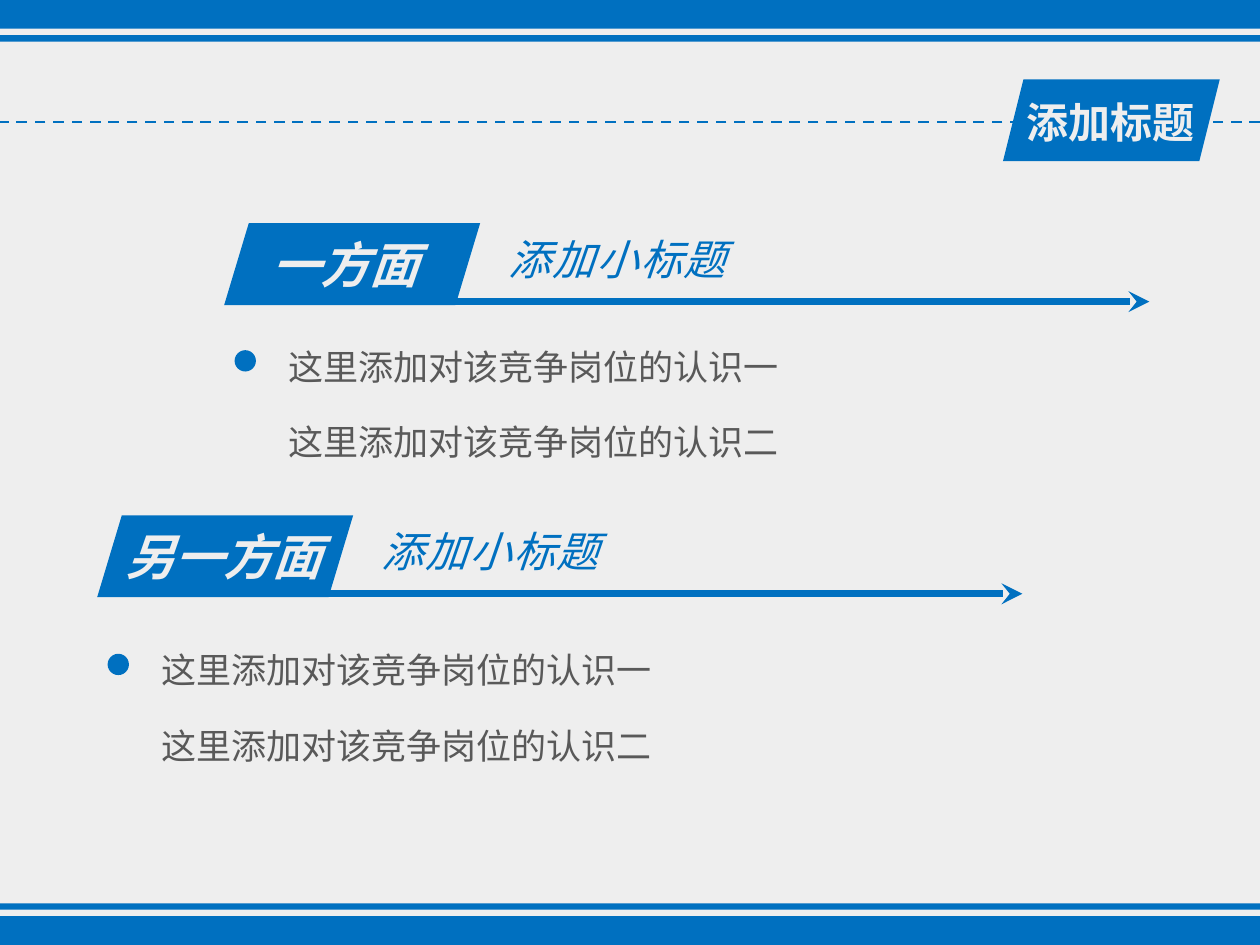
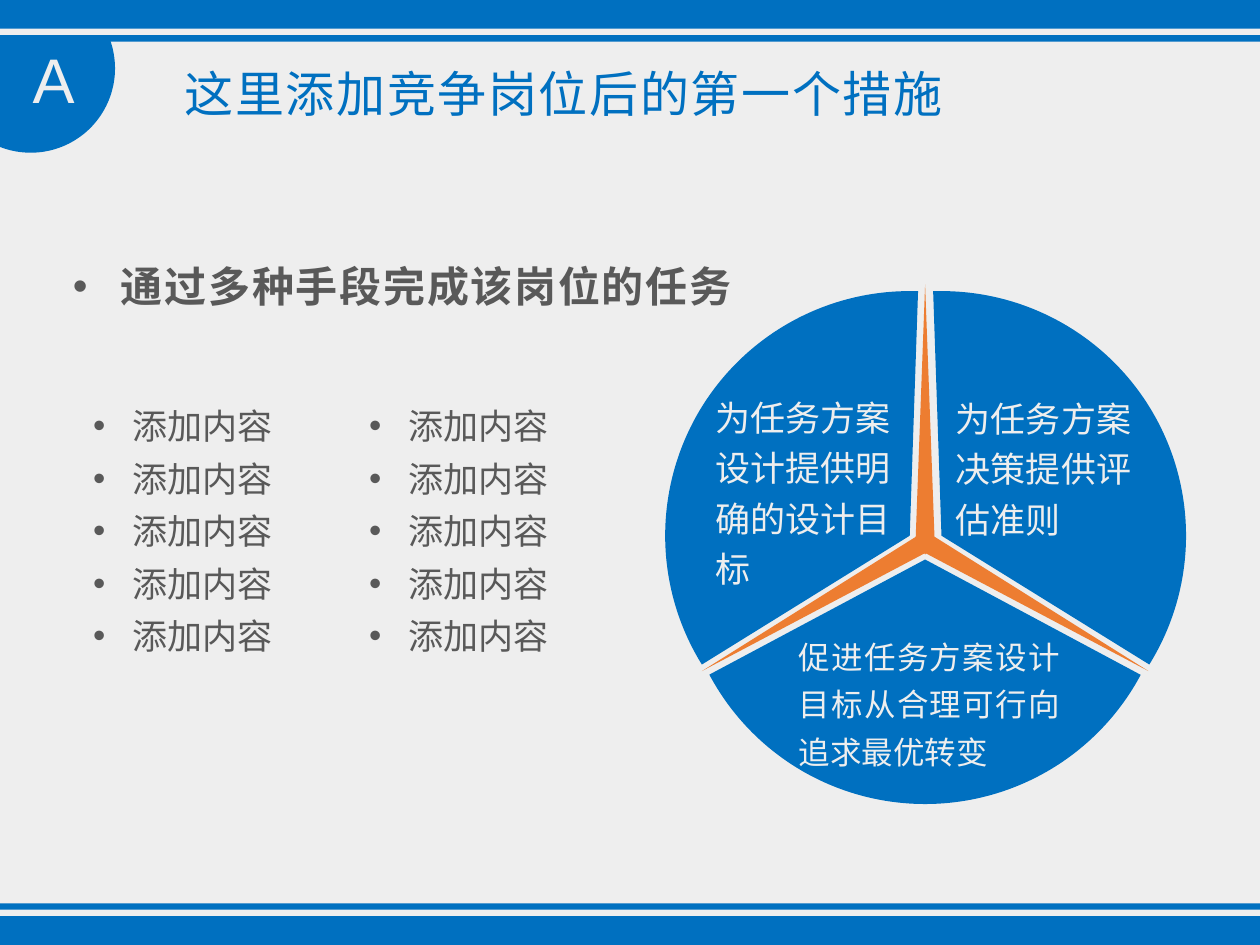
from math import asin, cos, degrees, radians, sin

from lxml import etree
from pptx import Presentation
from pptx.dml.color import RGBColor
from pptx.enum.dml import MSO_LINE
from pptx.enum.shapes import MSO_CONNECTOR, MSO_SHAPE
from pptx.enum.text import MSO_AUTO_SIZE, PP_ALIGN
from pptx.oxml.ns import qn
from pptx.util import Cm, Pt

RECT, OVAL = MSO_SHAPE.RECTANGLE, MSO_SHAPE.OVAL
SLANT, PIE = MSO_SHAPE.PARALLELOGRAM, MSO_SHAPE.PIE
TRIANGLE = MSO_SHAPE.ISOSCELES_TRIANGLE
STRAIGHT, DASH = MSO_CONNECTOR.STRAIGHT, MSO_LINE.DASH
JUSTIFY = PP_ALIGN.JUSTIFY
GROW = MSO_AUTO_SIZE.SHAPE_TO_FIT_TEXT

# Content; lengths in cm
TAG = "添加标题"
SECTIONS = [
    {"label": "一方面", "heading": "添加小标题",
     "points": ["这里添加对该竞争岗位的认识一", "这里添加对该竞争岗位的认识二"],
     "origin": (4.52, 4.5), "label_box": (0.71, 3.51), "body": (2.08, 2.9)},
    {"label": "另一方面", "heading": "添加小标题",
     "points": ["这里添加对该竞争岗位的认识一", "这里添加对该竞争岗位的认识二"],
     "origin": (1.96, 10.39), "label_box": (0.33, 4.5), "body": (2.31, 4.45)},
]
LETTER = "A"
MEASURE = "这里添加竞争岗位后的第一个措施"
LEAD = "通过多种手段完成该岗位的任务"
ITEM_LISTS = [
    (["添加内容"] * 5, (1.63, 7.82, 5.82, 7.32)),
    (["添加内容"] * 5, (7.19, 7.82, 4.85, 5.59)),
]
# Each wedge: left, top, start angle, end angle
WEDGES = [
    (13.41, 5.87, 148.2, 271.95),
    (14.05, 5.87, 268.05, 31.8),
    (13.72, 6.35, 28.15, 151.9),
]
CAPTIONS = [
    ("为任务方案设计提供明确的设计目标", (14.17, 7.7, 4.52, 4.37), "caption"),
    ("为任务方案决策提供评估准则", (19.02, 7.72, 4.09, 3.33), "caption"),
    ("促进任务方案设计目标从合理可行向追求最优转变",
     (15.85, 12.55, 5.77, 3.15), "caption_small"),
]

# Theme
WIDTH, HEIGHT = 25.4, 19.05
CJK = "Noto Sans CJK SC"


class Theme:
    blue = RGBColor(0x00, 0x70, 0xC0)
    pale = RGBColor(0xEE, 0xEE, 0xEE)
    grey = RGBColor(0x59, 0x59, 0x59)
    orange = RGBColor(0xED, 0x7D, 0x31)
    # Each style: font formats, colour, paragraph formats, letter spacing
    styles = {
        "tag": ({"size": Pt(24), "name": "Calibri", "bold": True}, pale, {}, 0),
        "label": ({"size": Pt(28), "name": CJK, "bold": True, "italic": True},
                  pale, {}, 0),
        "heading": ({"size": Pt(24), "name": CJK, "italic": True}, blue, {}, 1),
        "body": ({"size": Pt(20), "name": CJK}, grey,
                 {"alignment": JUSTIFY, "line_spacing": 1.3,
                  "space_after": Pt(12)}, 0),
        "letter": ({"size": Pt(36), "name": "Arial"}, pale, {}, 0),
        "measure": ({"size": Pt(28), "name": CJK}, blue,
                    {"alignment": JUSTIFY, "line_spacing": 1.25}, 1),
        "lead": ({"size": Pt(24), "name": CJK, "bold": True}, grey,
                 {"alignment": JUSTIFY, "line_spacing": 1.25}, 1),
        "item": ({"size": Pt(20), "name": CJK}, grey,
                 {"alignment": JUSTIFY, "line_spacing": 1.25}, 0),
        "caption": ({"size": Pt(20), "name": CJK}, pale,
                    {"line_spacing": 1.2}, 0),
        "caption_small": ({"size": Pt(18), "name": CJK}, pale,
                          {"alignment": JUSTIFY, "line_spacing": 1.25}, 0),
    }


def apply(target, formats):
    for name, value in formats.items():
        setattr(target, name, value)


def paint(shape, color):
    shape.shadow.inherit = False
    shape.fill.solid()
    shape.fill.fore_color.rgb = color
    shape.line.fill.background()


def add_block(slide, kind, box, color=Theme.blue, adjust=(), turn=0):
    block = slide.shapes.add_shape(kind, *map(Cm, box))
    paint(block, color)
    block.rotation = turn
    for index, value in enumerate(adjust):
        block.adjustments[index] = value


def add_rule(slide, start, end, width, dash=None, arrow=False):
    rule = slide.shapes.add_connector(STRAIGHT, *map(Cm, start + end))
    rule.line.color.rgb = Theme.blue
    rule.line.width = Pt(width)
    if dash:
        rule.line.dash_style = dash
    if arrow:
        etree.SubElement(rule.line._get_or_add_ln(), qn("a:tailEnd"), type="stealth")
    etree.SubElement(rule._element.spPr, qn("a:effectLst"))


def add_text(slide, lines, box, style, wrap=True, indent=None, bullet=False):
    font, color, layout, spacing = Theme.styles[style]
    frame = slide.shapes.add_textbox(*map(Cm, box)).text_frame
    apply(frame, {"word_wrap": wrap, "auto_size": GROW})
    for index, line in enumerate(lines):
        paragraph = frame.paragraphs[0] if index == 0 else frame.add_paragraph()
        apply(paragraph, layout)
        props = paragraph._p.get_or_add_pPr()
        if indent:
            props.set("marL", str(Cm(indent[0])))
            props.set("indent", str(Cm(indent[1])))
        if bullet:
            etree.SubElement(props, qn("a:buFont"), typeface="Arial")
            etree.SubElement(props, qn("a:buChar"), char="•")
        run = paragraph.add_run()
        run.text = line
        apply(run.font, font)
        run.font.color.rgb = color
        run_props = run._r.get_or_add_rPr()
        if spacing:
            run_props.set("spc", str(spacing * 100))
        east_asian = etree.Element(qn("a:ea"), typeface=CJK)
        run_props.find(qn("a:latin")).addnext(east_asian)


def add_framed_slide(prs):
    slide = prs.slides.add_slide(prs.slide_layouts[6])
    slide.background.fill.solid()
    slide.background.fill.fore_color.rgb = Theme.pale
    # Thick and thin bands, mirrored top and bottom
    for top, height in [(0, 0.58), (0.71, 0.13)]:
        for y in (top, HEIGHT - top - height):
            add_block(slide, RECT, (0, y, WIDTH, height))
    return slide


def add_section(slide, section):
    x, y = section["origin"]
    label_left, label_width = section["label_box"]
    drop, body_height = section["body"]
    add_block(slide, SLANT, (x, y, 5.16, 1.65), adjust=[0.301])
    add_text(slide, [section["heading"]], (x + 5.49, y + 0.08, 4.98, 1.27),
             "heading", wrap=False)
    add_text(slide, [section["label"]],
             (x + label_left, y + 0.1, label_width, 1.45), "label", wrap=False)
    add_rule(slide, (x + 0.06, y + 1.58), (x + 18.65, y + 1.58), 4, arrow=True)
    add_text(slide, section["points"], (x + 1.04, y + drop, 17.91, body_height),
             "body")
    add_block(slide, OVAL, (x + 0.21, y + drop + 0.48, 0.43, 0.43))


def build_views(prs):
    slide = add_framed_slide(prs)
    add_rule(slide, (WIDTH, 2.46), (0, 2.46), 1.5, dash=DASH)
    add_block(slide, SLANT, (20.22, 1.6, 4.37, 1.65))
    add_text(slide, [TAG], (20.45, 1.83, 3.94, 1.27), "tag", wrap=False)
    for section in SECTIONS:
        add_section(slide, section)


def add_corner_badge(slide):
    # Circle cut off by the top band
    center_x, center_y, radius, cut = 0.62, 1.38, 1.7, 0.81
    first = degrees(asin((cut - center_y) / radius))
    steps = 90
    angles = [radians(first + (180 - 2 * first) * i / steps)
              for i in range(steps + 1)]
    rim = [(Cm(center_x + radius * cos(a)), Cm(center_y + radius * sin(a)))
           for a in angles]
    outline = slide.shapes.build_freeform(*rim[0])
    outline.add_line_segments(rim[1:], close=True)
    paint(outline.convert_to_shape(), Theme.blue)
    add_text(slide, [LETTER], (0.41, 0.69, 1.52, 1.8), "letter", wrap=False)


def add_wheel(slide):
    # Three spokes around the hub
    hub_x, hub_y, reach, width, length = 18.65, 10.93, 2.64, 0.38, 5.11
    for turn in (0, 120, 240):
        x = hub_x + reach * sin(radians(turn))
        y = hub_y - reach * cos(radians(turn))
        add_block(slide, TRIANGLE, (x - width / 2, y - length / 2, width, length),
                  Theme.orange, turn=turn)
    add_block(slide, TRIANGLE, (hub_x - width / 2, 10.85, width, 0.33),
              Theme.orange, turn=180)
    # Pie adjustments count 0.6 per degree
    for left, top, start, end in WEDGES:
        add_block(slide, PIE, (left, top, 9.86, 9.86),
                  adjust=[start * 0.6, end * 0.6])
    for caption, box, style in CAPTIONS:
        add_text(slide, [caption], box, style)


def build_measure(prs):
    slide = add_framed_slide(prs)
    add_text(slide, [MEASURE], (1.42, 0.86, 21.67, 1.75), "measure",
             indent=(2.05, 0))
    add_corner_badge(slide)
    add_text(slide, [LEAD], (1.22, 4.88, 14.88, 2.49), "lead",
             indent=(0.97, -1.19), bullet=True)
    add_wheel(slide)
    for items, box in ITEM_LISTS:
        add_text(slide, items, box, "item", indent=(0.79, -0.79), bullet=True)


def main():
    prs = Presentation()
    apply(prs, {"slide_width": Cm(WIDTH), "slide_height": Cm(HEIGHT)})
    build_views(prs)
    build_measure(prs)
    prs.save("out.pptx")


if __name__ == "__main__":
    main()
